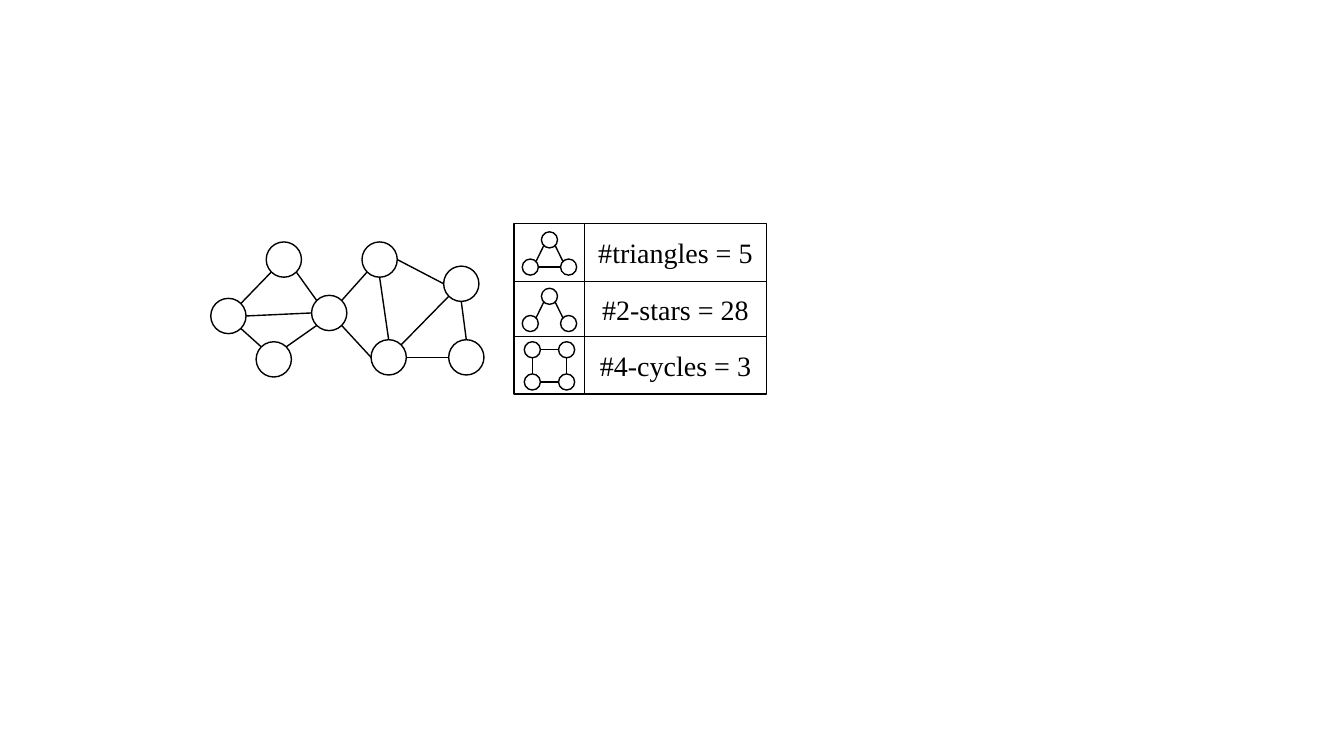
from lxml.etree import SubElement
from pptx import Presentation
from pptx.dml.color import RGBColor
from pptx.enum.shapes import MSO_CONNECTOR, MSO_SHAPE
from pptx.enum.text import MSO_AUTO_SIZE, PP_ALIGN
from pptx.oxml.ns import qn
from pptx.util import Pt

PX = 9144  # 100 px to the inch
COLORS = {"ink": "000000"}
INK = RGBColor.from_string(COLORS["ink"])
DIAG = 0.7071
# Unit directions from a node's centre to the points where edges attach
SITES = {"t": (0, -1), "b": (0, 1), "l": (-1, 0), "r": (1, 0),
         "tl": (-DIAG, -DIAG), "tr": (DIAG, -DIAG),
         "bl": (-DIAG, DIAG), "br": (DIAG, DIAG)}

prs = Presentation()
prs.slide_width, prs.slide_height = 1333 * PX, 750 * PX
shapes = prs.slides.add_slide(prs.slide_layouts[6]).shapes


def add_line(*ends):
    c = shapes.add_connector(MSO_CONNECTOR.STRAIGHT, *(round(v * PX) for v in ends))
    c.line.color.rgb, c.line.width = INK, Pt(1)
    SubElement(c._element.spPr, qn("a:effectLst"))


def add_outline(kind, x, y, w, h):
    s = shapes.add_shape(kind, x * PX, y * PX, w * PX, h * PX)
    s.shadow.inherit = False
    s.fill.background()
    s.line.color.rgb, s.line.width = INK, Pt(1)


# Graphs: node diameter, node corners, edges as "node.site node.site"
triangle = {"T": (537, 230), "L": (518, 257), "R": (556, 257)}
star = {name: (x, y + 56) for name, (x, y) in triangle.items()}
star_edges = ["L.tr T.bl", "T.br R.tl"]
graphs = [
    (35, {"A": (264, 240), "B": (209, 296), "C": (309, 293), "D": (254, 339),
          "E": (359, 240), "F": (368, 337), "G": (440, 264), "H": (445, 337)},
     ["A.bl B.tr", "D.tl B.br", "D.tr C.bl", "C.tl A.br", "C.br F.l", "E.b F.t",
      "E.bl C.tr", "B.r C.l", "E.r G.l", "F.tr G.bl", "F.r H.l", "G.b H.t"]),
    (16, triangle, star_edges + ["L.r R.l"]),
    (16, star, star_edges),
    (16, {"A": (520, 339), "B": (554, 339), "C": (554, 371), "D": (520, 371)},
     ["A.r B.l", "B.b C.t", "D.r C.l", "A.b D.t"]),
]
for size, nodes, edges in graphs:
    for x, y in nodes.values():
        add_outline(MSO_SHAPE.OVAL, x, y, size, size)
    for edge in edges:
        ends = []
        for end in edge.split():
            name, site = end.split(".")
            ends += [corner + size / 2 * (1 + d)
                     for corner, d in zip(nodes[name], SITES[site])]
        add_line(*ends)

# Motif counts
font_format = {"name": "Times New Roman", "size": Pt(20)}
for i, count in enumerate(["#triangles = 5", "#2-stars = 28", "#4-cycles = 3"]):
    tf = shapes.add_textbox(581 * PX, (229 + 56 * i) * PX, 178 * PX, 44 * PX).text_frame
    tf.word_wrap = True
    tf.auto_size = MSO_AUTO_SIZE.SHAPE_TO_FIT_TEXT
    p = tf.paragraphs[0]
    p.alignment = PP_ALIGN.CENTER
    r = p.add_run()
    r.text = count
    for key, value in font_format.items():
        setattr(r.font, key, value)
    r.font.color.rgb = INK

# Frame around the motifs with its rules
add_outline(MSO_SHAPE.RECTANGLE, 510, 222, 250, 169)
for y in (279, 334):
    add_line(510, y, 760, y)
add_line(580, 222, 580, 391)

prs.save("out.pptx")
